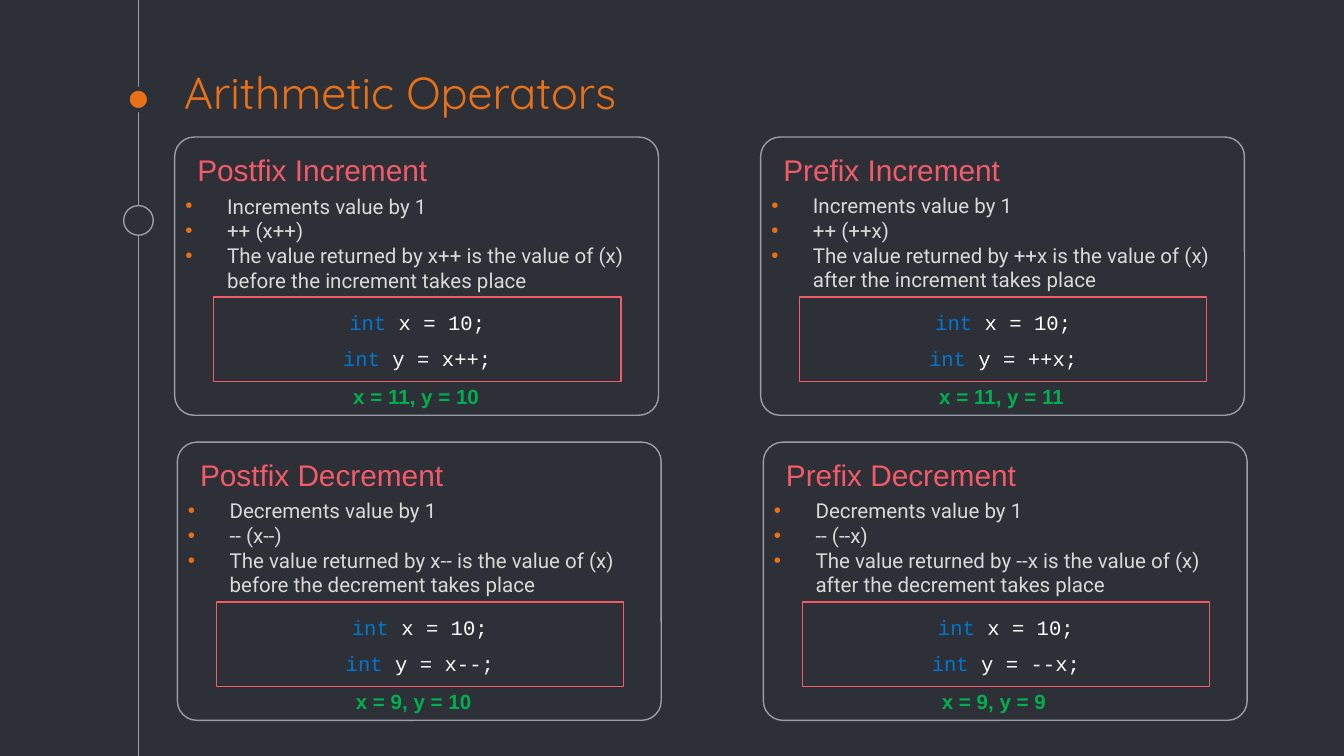
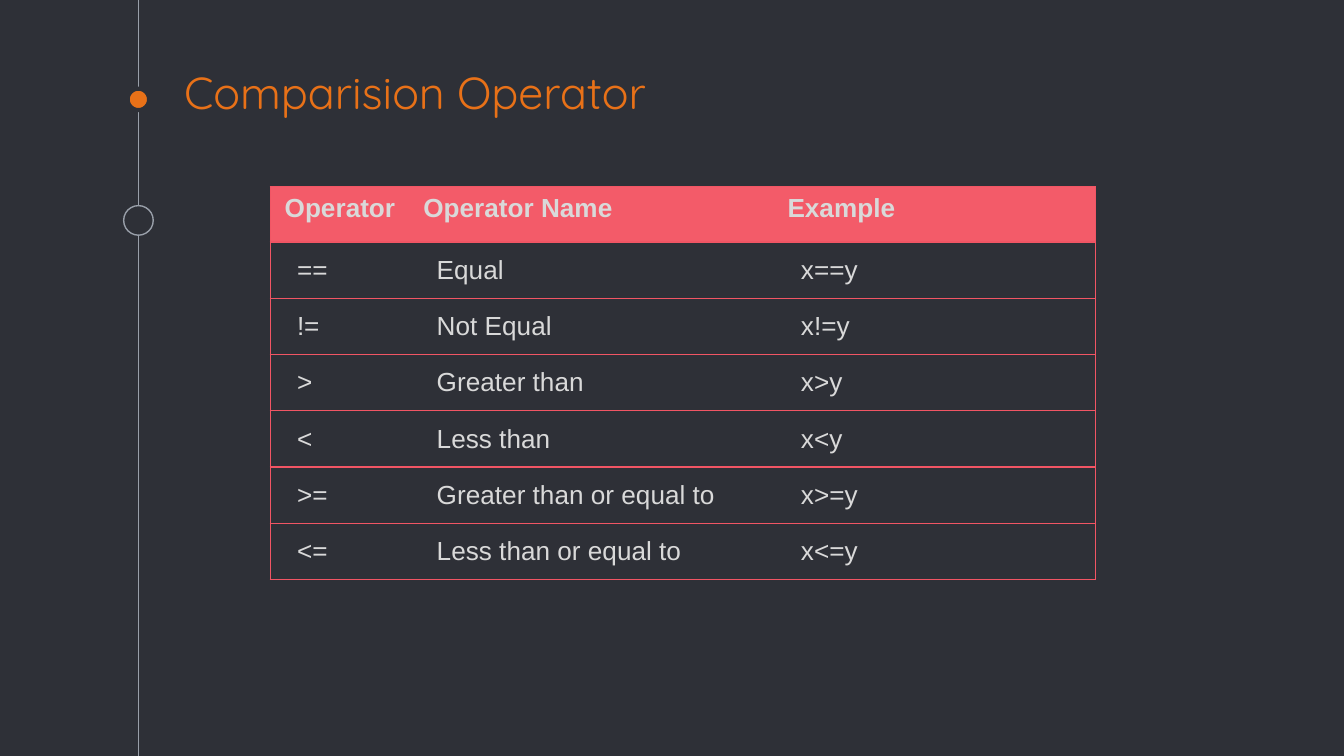
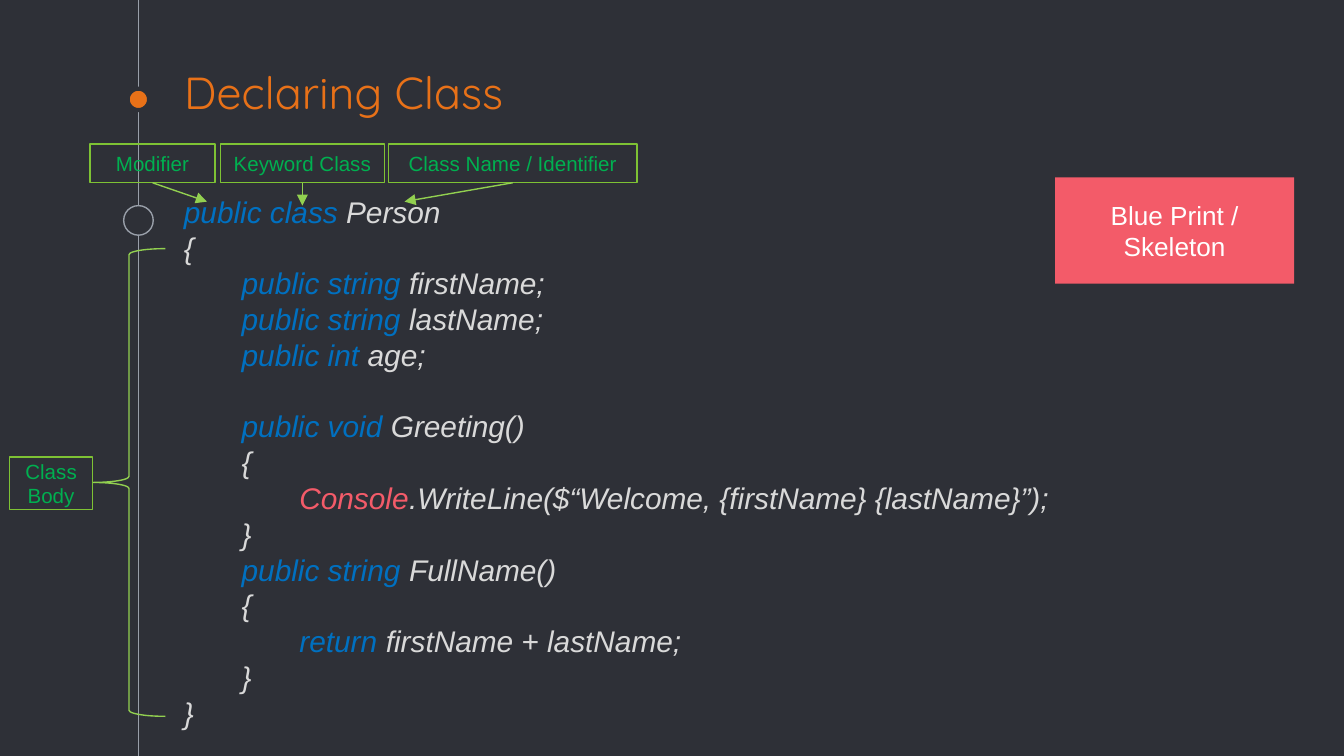
from lxml.etree import SubElement
from pptx import Presentation
from pptx.dml.color import RGBColor
from pptx.enum.shapes import MSO_CONNECTOR, MSO_SHAPE
from pptx.enum.text import MSO_ANCHOR, MSO_AUTO_SIZE, PP_ALIGN
from pptx.oxml.ns import qn
from pptx.util import Inches, Pt

COLORS = {
    "background": "2E3037",
    "spine": "999FA9",
    "orange": "E87118",
    "coral": "F35B69",
    "border": "F15564",
    "body": "D9D9D9",
    "white": "FFFFFF",
    "type": "0077D0",
    "keyword": "0070C0",
    "green": "00B050",
    "label": "7EC234",
    "arrow": "92D050",
}

CARDS = [
    # column, row, heading, bullets, second code line, result
    (0, 0, "Postfix Increment",
     ["Increments value by 1", "++ (x++)",
      "The value returned by x++ is the value of (x) before the increment takes place"],
     " y = x++;", "x = 11, y = 10"),
    (1, 0, "Prefix Increment",
     ["Increments value by 1", "++ (++x)",
      "The value returned by ++x is the value of (x) after the increment takes place"],
     " y = ++x;", "x = 11, y = 11"),
    (0, 1, "Postfix Decrement",
     ["Decrements value by 1", "-- (x--)",
      "The value returned by x-- is the value of (x) before the decrement takes place"],
     " y = x--;", "x = 9, y = 10"),
    (1, 1, "Prefix Decrement",
     ["Decrements value by 1", "-- (--x)",
      "The value returned by --x is the value of (x) after the decrement takes place"],
     " y = --x;", "x = 9, y = 9"),
]

OPERATORS = [
    ("Operator", "Operator Name", "Example"),
    ("==", "Equal", "x==y"),
    ("!=", "Not Equal", "x!=y"),
    (">", "Greater than", "x>y"),
    ("<", "Less than", "x<y"),
    (">=", "Greater than or equal to", "x>=y"),
    ("<=", "Less than or equal to", "x<=y"),
]

TAB = " " * 7
FIELDS = [
    [("public class", "keyword"), (" Person", "body")],
    [("{", "body")],
    [(TAB + "public string ", "keyword"), ("firstName;", "body")],
    [(TAB + "public string ", "keyword"), ("lastName;", "body")],
    [(TAB + "public int", "keyword"), (" age;", "body")],
]
METHODS = [
    [(TAB + "public void", "keyword"), (" Greeting()", "body")],
    [(TAB + "{", "body")],
    [(TAB * 2 + "Console", "coral"),
     (".WriteLine($“Welcome, {firstName} {lastName}”);", "body")],
    [(TAB + "}", "body")],
    [(TAB + "public string ", "keyword"), ("FullName()", "body")],
    [(TAB + "{", "body")],
    [(TAB * 2 + "return ", "keyword"), ("firstName + lastName;", "body")],
    [(TAB + "}", "body")],
    [("}", "body")],
]

# text, left, width, arrow tip
LABELS = [
    ("Modifier", 0.67, 0.93, (1.54, 1.5)),
    ("Keyword Class", 1.64, 1.22, (2.25, 1.53)),
    ("Class Name / Identifier", 2.89, 1.85, (3.01, 1.5)),
]


def rgb(name):
    return RGBColor.from_string(COLORS[name])


def place(shape, left, top, width, height):
    shape.left, shape.top = Inches(left), Inches(top)
    shape.width, shape.height = Inches(width), Inches(height)


def add_bullet(para):
    properties = para._p.get_or_add_pPr()
    properties.set("marL", str(Inches(0.31)))
    properties.set("indent", str(-Inches(0.31)))
    color = SubElement(properties, qn("a:buClr"))
    SubElement(color, qn("a:srgbClr"), val=COLORS["orange"])
    SubElement(properties, qn("a:buFont"), typeface="Arial")
    SubElement(properties, qn("a:buChar"), char="•")


def write(frame, lines, size=11, font="Arial", bold=False, italic=False,
          align=PP_ALIGN.LEFT, anchor=MSO_ANCHOR.TOP, inset=0.05,
          side=0.1, gaps=None, bullets=False):
    """Fill a frame; a line is a list of (text, color), gaps maps a line index to points before."""
    frame.word_wrap = True
    frame.vertical_anchor = anchor
    frame.margin_left = frame.margin_right = Inches(side)
    frame.margin_top = frame.margin_bottom = Inches(inset)
    for index, line in enumerate(lines):
        para = frame.add_paragraph() if index else frame.paragraphs[0]
        if bullets:
            add_bullet(para)
        para.alignment = align
        para.space_before = Pt((gaps or {}).get(index, 0))
        for text, color in line:
            span = para.add_run()
            span.text = text
            span.font.size, span.font.name = Pt(size), font
            span.font.bold, span.font.italic = bold, italic
            span.font.color.rgb = rgb(color)


def add_box(page, kind, left, top, width, height, fill=None, line=None, weight=0.75):
    box = page.shapes.add_shape(kind, 0, 0, 0, 0)
    place(box, left, top, width, height)
    box.shadow.inherit = False
    if fill:
        box.fill.solid()
        box.fill.fore_color.rgb = rgb(fill)
    else:
        box.fill.background()
    if line:
        box.line.color.rgb = rgb(line)
        box.line.width = Pt(weight)
    else:
        box.line.fill.background()
    return box


def add_text(page, lines, left, top, width, height, **format):
    box = page.shapes.add_textbox(0, 0, 0, 0)
    place(box, left, top, width, height)
    write(box.text_frame, lines, **format)


def add_line(page, start, end, color, source=None, arrow=False):
    line = page.shapes.add_connector(
        MSO_CONNECTOR.STRAIGHT, *(Inches(value) for value in (*start, *end)))
    if source is not None:
        line.begin_connect(source, 2)
    line.line.color.rgb = rgb(color)
    line.line.width = Pt(0.75)
    properties = line._element.spPr
    if arrow:
        SubElement(properties.get_or_add_ln(), qn("a:tailEnd"), type="triangle")
    SubElement(properties, qn("a:effectLst"))


def add_page(deck, title, layout=5):
    """Start a slide with the timeline on the left and the title."""
    page = deck.slides.add_slide(deck.slide_layouts[layout])
    add_line(page, (1.03, 0), (1.03, deck.slide_height.inches), "spine")
    add_box(page, MSO_SHAPE.OVAL, 0.95, 0.66, 0.16, 0.16, "orange", "background", 2.25)
    add_box(page, MSO_SHAPE.OVAL, 0.92, 1.53, 0.22, 0.22, "background", "spine")
    heading = page.shapes.title
    place(heading, 1.27, 0.6, 8.65, 0.38)
    heading.text_frame.auto_size = MSO_AUTO_SIZE.NONE
    write(heading.text_frame, [[(title, "orange")]], size=24, font="Quicksand",
          anchor=MSO_ANCHOR.BOTTOM, inset=0.1)
    return page


def add_card(page, column, row, heading, bullets, code, result):
    left = 1.3 + 4.36 * column + 0.02 * row
    top = 1.02 + 2.27 * row
    card = add_box(page, MSO_SHAPE.ROUNDED_RECTANGLE, left, top, 3.6, 2.07, line="spine")
    card.adjustments[0] = 0.07
    add_text(page, [[(heading, "coral")]], left + 0.07, top + 0.06, 2.1, 0.37, size=16)

    if column == row == 0:
        points = page.placeholders[1]
        points.text_frame.auto_size = MSO_AUTO_SIZE.NONE
    else:
        points = page.shapes.add_textbox(0, 0, 0, 0)
    place(points, left - 0.02, top + 0.37, 3.59, 0.84)
    write(points.text_frame, [[(text, "body")] for text in bullets],
          font="Roboto", bullets=True)

    box = add_box(page, MSO_SHAPE.RECTANGLE, left + 0.29, top + 1.19, 3.03, 0.63, line="coral")
    lines = [[("int", "type"), (text, "white")] for text in (" x = 10;", code)]
    write(box.text_frame, lines, font="Courier New", align=PP_ALIGN.CENTER,
          inset=0.1, gaps={1: 6})
    add_text(page, [[(result, "green")]], left + 1.23, top + 1.79, 1.2, 0.29, bold=True)


def set_borders(cell, column):
    """Draw the outer frame and row lines, without lines between columns."""
    properties = cell._tc.get_or_add_tcPr()
    last = len(OPERATORS[0]) - 1
    visible = {"lnL": column == 0, "lnR": column == last, "lnT": True, "lnB": True}
    for index, (side, drawn) in enumerate(visible.items()):
        line = SubElement(properties, qn("a:" + side), w=str(Pt(0.75)))
        if drawn:
            fill = SubElement(line, qn("a:solidFill"))
            SubElement(fill, qn("a:srgbClr"), val=COLORS["border"])
        else:
            SubElement(line, qn("a:noFill"))
        properties.insert(index, line)


def write_cell(cell, text, header, align):
    if header:
        cell.fill.solid()
        cell.fill.fore_color.rgb = rgb("coral")
    else:
        cell.fill.background()
    side, inset = (0.1, 0.05) if header else (0.2, 0.1)
    cell.margin_left = cell.margin_right = Inches(side)
    cell.margin_top = cell.margin_bottom = Inches(inset)
    cell.vertical_anchor = MSO_ANCHOR.TOP if header else MSO_ANCHOR.MIDDLE
    para = cell.text_frame.paragraphs[0]
    para.alignment = align
    span = para.add_run()
    span.text = text
    span.font.size, span.font.name, span.font.bold = Pt(14), "Arial", header
    span.font.color.rgb = rgb("body")


def add_operator_table(page):
    widths = (1.04, 2.71, 2.39)
    frame = page.shapes.add_table(len(OPERATORS), len(widths), Inches(2.01), Inches(1.39),
                                  Inches(sum(widths)), Inches(0.41 * len(OPERATORS)))
    table = frame.table
    table.horz_banding = False
    for column, width in zip(table.columns, widths):
        column.width = Inches(width)
    for row, texts in enumerate(OPERATORS):
        table.rows[row].height = Inches(0.41)
        for column, text in enumerate(texts):
            cell = table.cell(row, column)
            centred = row == column == 0
            write_cell(cell, text, row == 0, PP_ALIGN.CENTER if centred else PP_ALIGN.LEFT)
            set_borders(cell, column)


def add_label(page, text, left, top, width, height):
    box = add_box(page, MSO_SHAPE.RECTANGLE, left, top, width, height, line="label")
    write(box.text_frame, [[(text, "green")]], align=PP_ALIGN.CENTER, anchor=MSO_ANCHOR.MIDDLE)
    return box


def build_arithmetic(deck):
    page = add_page(deck, "Arithmetic Operators", layout=1)
    for card in CARDS:
        add_card(page, *card)


def build_comparison(deck):
    add_operator_table(add_page(deck, "Comparision Operator"))


def build_class(deck):
    page = add_page(deck, "Declaring Class")
    add_text(page, FIELDS + METHODS, 1.27, 1.39, 8.65, 4.14, size=16, italic=True,
             gaps={len(FIELDS): 19})
    blueprint = add_box(page, MSO_SHAPE.RECTANGLE, 7.85, 1.32, 1.78, 0.79, fill="coral")
    write(blueprint.text_frame, [[("Blue Print / Skeleton", "white")]], size=14,
          align=PP_ALIGN.CENTER, anchor=MSO_ANCHOR.MIDDLE)
    for text, left, width, tip in LABELS:
        label = add_label(page, text, left, 1.07, width, 0.29)
        add_line(page, (left + width / 2, 1.36), tip, "arrow", source=label, arrow=True)
    add_box(page, MSO_SHAPE.LEFT_BRACE, 0.69, 1.85, 0.54, 3.48, line="arrow")
    add_label(page, "Class Body", 0.07, 3.4, 0.62, 0.39)


def main():
    deck = Presentation()
    deck.slide_width = Inches(10)
    deck.slide_height = deck.slide_width * 9 // 16
    background = deck.slide_master.background.fill
    background.solid()
    background.fore_color.rgb = rgb("background")
    build_arithmetic(deck)
    build_comparison(deck)
    build_class(deck)
    deck.save("out.pptx")


if __name__ == "__main__":
    main()
